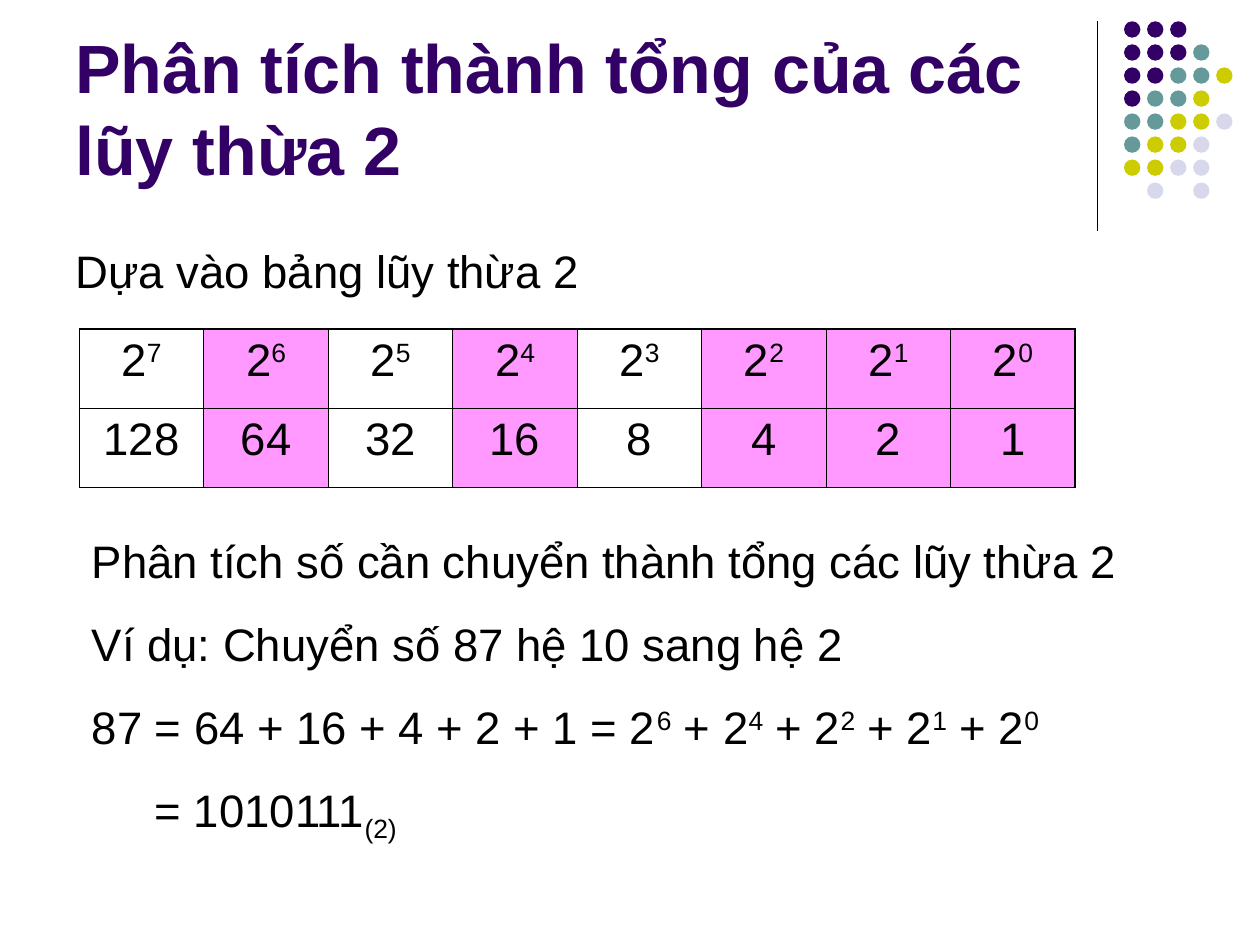
"""Build the slide on splitting a number into powers of two."""
import lxml.etree
import pptx
import pptx.dml.color
import pptx.enum.shapes
import pptx.enum.text
import pptx.oxml.ns
import pptx.util

Cm, Pt = pptx.util.Cm, pptx.util.Pt
ALIGN = pptx.enum.text.PP_ALIGN
ANCHOR = pptx.enum.text.MSO_ANCHOR
qn = pptx.oxml.ns.qn

COLOURS = {
    "text": "000000", "highlight": "FF99FF",
    "P": "330066", "T": "669999", "Y": "CCCC00", "L": "D8D8EC",
}
DOTS = ["PPP", "PPPT", "PPTTY", "PTTY", "TTYYL", "TYYL", "YYLL", " L L"]
DOT_LEFT, DOT_TOP, DOT_SIZE, DOT_PITCH = 22.66, 0.43, 0.33, 3.25 / 7

NUMBER = 87
POWERS = range(7, -1, -1)
COLUMN_WIDTH, ROW_HEIGHT = 2.51, 1.6
INNER, OUTER = 0.45, 1.08


def power(exponent, before=""):
    return [(before + "2", 0), (str(exponent), 30)]


TITLE = [[("Phân tích thành tổng của các lũy thừa 2", 0)]]
INTRO = [[("Dựa vào bảng lũy thừa 2", 0)]]
EXAMPLE = [
    [("Phân tích số cần chuyển thành tổng các lũy thừa 2", 0)],
    [("Ví dụ: Chuyển số 87 hệ 10 sang hệ 2", 0)],
    power(6, "87 = 64 + 16 + 4 + 2 + 1 = ")
    + [part for exponent in (4, 2, 1, 0) for part in power(exponent, " + ")],
    [("= 1010111", 0), ("(2)", -25)],
]
TABLE_ROWS = [[power(n) for n in POWERS], [[(str(2 ** n), 0)] for n in POWERS]]


def rgb(name):
    return pptx.dml.color.RGBColor.from_string(COLOURS[name])


def write(frame, paragraphs, size=26, colour="text", bold=False,
          align=ALIGN.LEFT, anchor=ANCHOR.TOP, gap=0):
    frame.word_wrap = True
    frame.vertical_anchor = anchor
    for index, parts in enumerate(paragraphs):
        paragraph = frame.add_paragraph() if index else frame.paragraphs[0]
        paragraph.alignment = align
        paragraph.space_before = Pt(gap if index else 0)
        for words, baseline in parts:
            run = paragraph.add_run()
            run.text = words
            run.font.name = "Arial"
            run.font.size = Pt(size)
            run.font.bold = bold
            run.font.color.rgb = rgb(colour)
            if baseline:
                run.font._element.set("baseline", str(baseline * 1000))


def add_text(slide, left, top, width, height, paragraphs, **style):
    box = slide.shapes.add_textbox(Cm(left), Cm(top), Cm(width), Cm(height))
    write(box.text_frame, paragraphs, **style)
    return box


def set_borders(cell, **widths):
    properties = cell._tc.get_or_add_tcPr()
    for side, width in widths.items():
        border = lxml.etree.SubElement(properties, qn(f"a:ln{side}"), w=str(Pt(width)))
        fill = lxml.etree.SubElement(border, qn("a:solidFill"))
        lxml.etree.SubElement(fill, qn("a:srgbClr"), val=COLOURS["text"])


def add_decoration(slide):
    divider = slide.shapes.add_connector(
        pptx.enum.shapes.MSO_CONNECTOR.STRAIGHT, Cm(22.12), Cm(0.43), Cm(22.12), Cm(4.65))
    divider.line.color.rgb = rgb("text")
    divider.line.width = Pt(0.75)
    lxml.etree.SubElement(divider._element.spPr, qn("a:effectLst"))
    for row, pattern in enumerate(DOTS):
        for column, colour in enumerate(pattern):
            if colour == " ":
                continue
            dot = slide.shapes.add_shape(
                pptx.enum.shapes.MSO_SHAPE.OVAL,
                Cm(DOT_LEFT + column * DOT_PITCH), Cm(DOT_TOP + row * DOT_PITCH),
                Cm(DOT_SIZE), Cm(DOT_SIZE))
            dot.shadow.inherit = False
            dot.fill.solid()
            dot.fill.fore_color.rgb = rgb(colour)
            dot.line.fill.background()


def add_powers_table(slide):
    last_row, last_column = len(TABLE_ROWS) - 1, len(POWERS) - 1
    table = slide.shapes.add_table(
        len(TABLE_ROWS), len(POWERS), Cm(1.6), Cm(6.63),
        Cm(COLUMN_WIDTH * len(POWERS)), Cm(ROW_HEIGHT * len(TABLE_ROWS))).table
    table.first_row = table.horz_banding = False
    for row, entries in enumerate(TABLE_ROWS):
        table.rows[row].height = Cm(ROW_HEIGHT)
        for column, entry in enumerate(entries):
            cell = table.cell(row, column)
            write(cell.text_frame, [entry], align=ALIGN.CENTER)
            set_borders(
                cell,
                L=INNER if column else OUTER,
                R=OUTER if column == last_column else INNER,
                T=INNER if row else OUTER,
                B=OUTER if row == last_row else INNER)
            if NUMBER >> POWERS[column] & 1:
                cell.fill.solid()
                cell.fill.fore_color.rgb = rgb("highlight")
            else:
                cell.fill.background()


def main():
    deck = pptx.Presentation()
    deck.slide_width, deck.slide_height = Cm(25.4), Cm(19.05)
    slide = deck.slides.add_slide(deck.slide_layouts[6])
    add_decoration(slide)
    add_text(slide, 1.27, 0.33, 20.96, 3.61, TITLE,
             size=39, colour="P", bold=True, anchor=ANCHOR.BOTTOM)
    add_text(slide, 1.27, 4.78, 20.83, 12.24, INTRO)
    add_powers_table(slide)
    example = add_text(slide, 1.6, 10.62, 22.1, 6.53, EXAMPLE, gap=16.2)
    result = example.text_frame.paragraphs[-1]
    result._p.get_or_add_pPr().set("marL", str(Cm(1.27)))
    deck.save("out.pptx")


if __name__ == "__main__":
    main()
